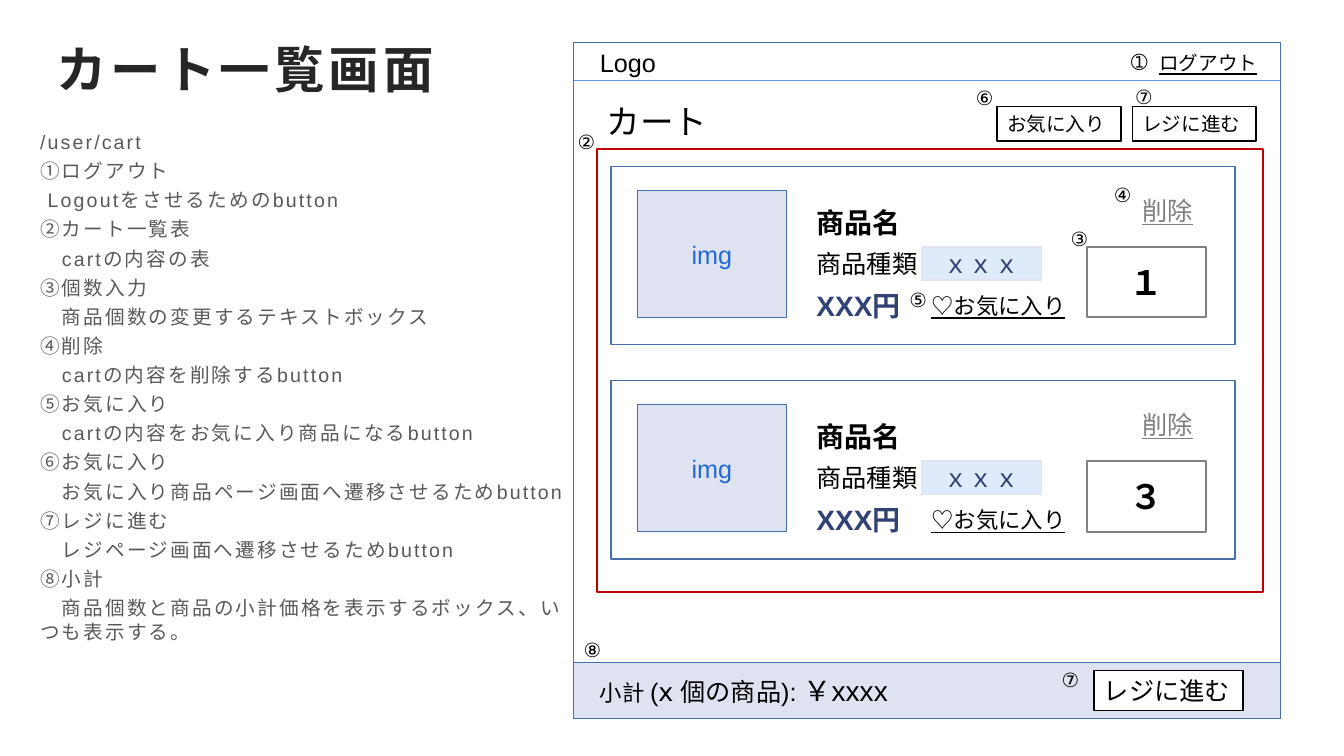
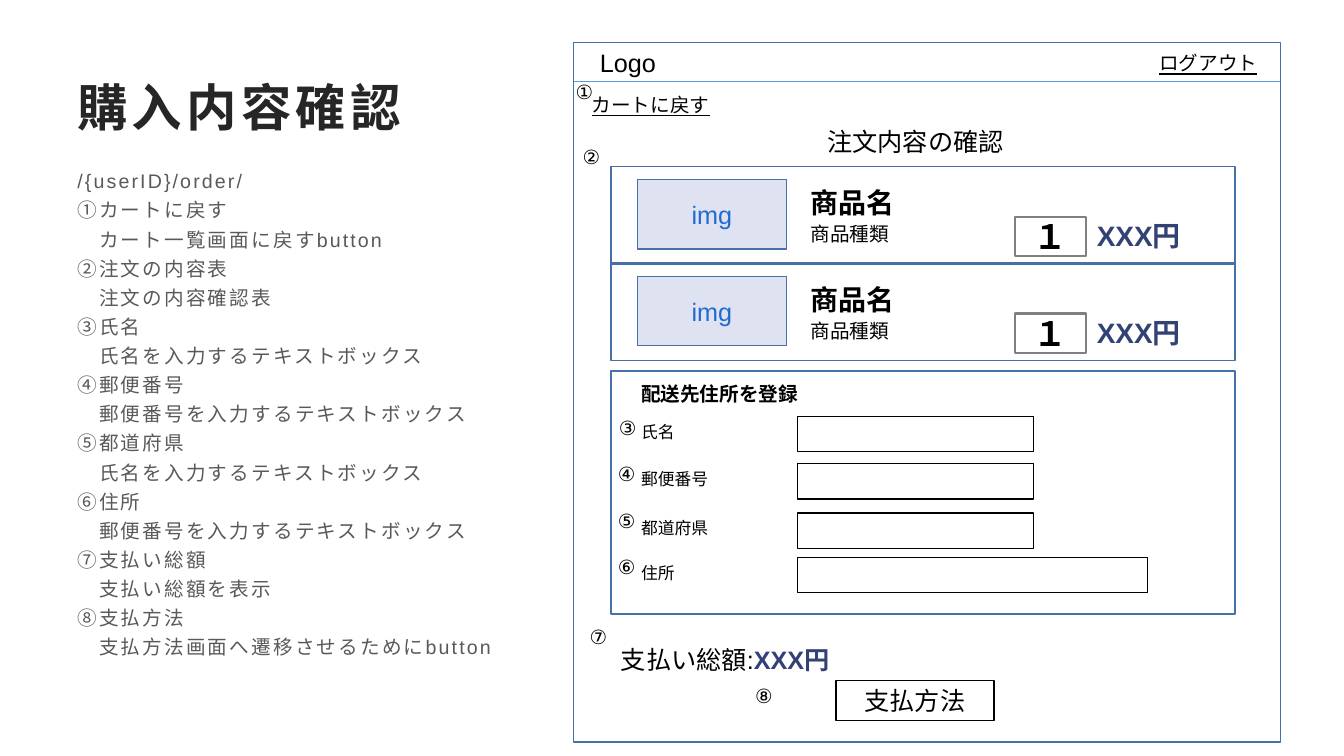
from lxml.etree import SubElement
from pptx import Presentation
from pptx.dml.color import RGBColor
from pptx.enum.shapes import MSO_CONNECTOR, MSO_SHAPE
from pptx.enum.text import MSO_ANCHOR, PP_ALIGN
from pptx.oxml.ns import qn
from pptx.util import Inches, Pt

COLORS = {
    "black": "000000", "white": "FFFFFF", "title": "262626", "body": "595959",
    "gray": "808080", "blue": "476FAA", "rule": "6096E6", "panel": "DFE3F1",
    "chip": "DFEAFA", "img": "2169D3", "price": "324274", "red": "C00000",
}
FONT = "Arial"
FRAME_X, FRAME_Y, FRAME_W = 5.69, 0.42, 7.01
CARD_X, CARD_W, CARD_TOP = 6.06, 6.19, 1.65


def rgb(name):
    return RGBColor.from_string(COLORS[name])


class Wireframe:
    def __init__(self, prs):
        self.prs = prs
        self.slide = None

    def new_slide(self, title, title_at, notes, notes_at, frame_h, rule_y):
        self.slide = self.prs.slides.add_slide(self.prs.slide_layouts[6])
        self.text(*title_at, 5, 0.77, title, 36, "title", bold=True, spc=3,
                  anchor=MSO_ANCHOR.MIDDLE)
        self.text(*notes_at, 5.2, notes, 14, "body", spc=1.5, after=4)
        self.box(FRAME_X, FRAME_Y, FRAME_W, frame_h)
        self.rule(FRAME_X, FRAME_X + FRAME_W, rule_y)
        self.text(5.85, 0.42, 0.85, 0.38, "Logo")
        self.text(11.4, 0.46, 1.3, 0.34, "ログアウト", 14, underline=True)

    def style(self, r, size, color, bold=False, underline=False, spc=0):
        r.font.name = FONT
        r.font.size = Pt(size)
        r.font.bold = bold
        r.font.underline = underline
        r.font.color.rgb = rgb(color)
        if spc:
            r._r.get_or_add_rPr().set("spc", str(int(spc * 100)))

    def fill_text(self, sp, text, size, color, align=PP_ALIGN.LEFT,
                  anchor=MSO_ANCHOR.TOP, after=0, **font):
        tf = sp.text_frame
        tf.word_wrap = True
        tf.vertical_anchor = anchor
        tf.text = text
        for p in tf.paragraphs:
            p.alignment = align
            p.space_after = Pt(after)
            for r in p.runs:
                self.style(r, size, color, **font)

    def text(self, x, y, w, h, text, size=18, color="black", **options):
        sp = self.slide.shapes.add_textbox(Inches(x), Inches(y), Inches(w), Inches(h))
        self.fill_text(sp, text, size, color, **options)
        return sp

    def rows(self, x, y, w, h, lines, spacing):
        sp = self.text(x, y, w, h, "\n".join(line[0] for line in lines))
        for p, (_, size, color, bold) in zip(sp.text_frame.paragraphs, lines):
            p.line_spacing = spacing
            self.style(p.runs[0], size, color, bold)

    def mixed(self, x, y, w, h, parts):
        sp = self.text(x, y, w, h, "")
        p = sp.text_frame.paragraphs[0]
        for text, size, color, bold in parts:
            r = p.add_run()
            r.text = text
            self.style(r, size, color, bold)

    def box(self, x, y, w, h, line="blue", fill=None, weight=1):
        sp = self.slide.shapes.add_shape(
            MSO_SHAPE.RECTANGLE, Inches(x), Inches(y), Inches(w), Inches(h))
        sp.shadow.inherit = False
        sp.line.color.rgb = rgb(line)
        sp.line.width = Pt(weight)
        if fill:
            sp.fill.solid()
            sp.fill.fore_color.rgb = rgb(fill)
        else:
            sp.fill.background()
        return sp

    def centered(self, sp, text, size=18, color="black", bold=False):
        self.fill_text(sp, text, size, color, align=PP_ALIGN.CENTER,
                       anchor=MSO_ANCHOR.MIDDLE, bold=bold)

    def image_box(self, y, h):
        self.centered(self.box(6.32, y, 1.48, h, fill="panel"), "img", color="img")

    def quantity(self, x, y, w, h, number):
        self.centered(self.box(x, y, w, h, "gray", weight=1.5), number, 24, bold=True)

    def button(self, x, y, w, h, text, size=18, align=PP_ALIGN.LEFT):
        sp = self.box(x, y, w, h, "black", "white")
        self.fill_text(sp, text, size, "black", align=align)

    def rule(self, x1, x2, y):
        ln = self.slide.shapes.add_connector(
            MSO_CONNECTOR.STRAIGHT, Inches(x1), Inches(y), Inches(x2), Inches(y))
        ln.line.color.rgb = rgb("rule")
        ln.line.width = Pt(0.5)
        SubElement(ln._element.spPr, qn("a:effectLst"))

    def markers(self, marks):
        for mark, x, y in marks:
            self.text(x, y, 0.45, 0.34, mark, 14)

    def cart_card(self, y, number):
        self.box(CARD_X, y, CARD_W, 1.77)
        self.image_box(y + 0.24, 1.26)
        self.rows(8, y + 0.24, 4.44, 1.26, [
            ("商品名", 20, "black", True),
            ("商品種類", 18, "black", False),
            ("XXX円", 20, "price", True)], 1.3)
        self.centered(self.box(9.14, y + 0.8, 1.19, 0.33, "panel", "chip"),
                      "ｘｘｘ", color="price")
        self.quantity(10.78, y + 0.8, 1.18, 0.7, number)
        self.text(11.23, y + 0.24, 0.72, 0.41, "削除", 18, "gray", underline=True)
        self.text(9.14, y + 1.2, 1.63, 0.49, "♡お気に入り", 16, underline=True)

    def order_card(self, y):
        self.box(CARD_X, y, CARD_W, 0.97)
        self.image_box(y + 0.13, 0.69)
        self.rows(7.94, y + 0.11, 4.44, 0.69, [
            ("商品名", 20, "black", True),
            ("商品種類", 14, "black", False)], 1.1)
        self.quantity(10.07, y + 0.5, 0.7, 0.39, "１")
        self.text(10.78, y + 0.47, 1.4, 0.44, "XXX円", 20, "price", bold=True)

    def field(self, y, label, w):
        self.text(6.26, y, 1.2, 0.3, label, 12)
        self.box(7.91, y, w, 0.35, "black")


CART_NOTES = """/user/cart
➀ログアウト
 Logoutをさせるためのbutton
②カート一覧表
　cartの内容の表
③個数入力
　商品個数の変更するテキストボックス
④削除
　cartの内容を削除するbutton
⑤お気に入り
　cartの内容をお気に入り商品になるbutton
⑥お気に入り
　お気に入り商品ページ画面へ遷移させるためbutton
⑦レジに進む
　レジページ画面へ遷移させるためbutton
⑧小計
　商品個数と商品の小計価格を表示するボックス、いつも表示する。"""

ORDER_NOTES = """/{userID}/order/
①カートに戻す
　カート一覧画面に戻すbutton
②注文の内容表
　注文の内容確認表
③氏名
　氏名を入力するテキストボックス
④郵便番号
　郵便番号を入力するテキストボックス
⑤都道府県
　氏名を入力するテキストボックス
⑥住所
　郵便番号を入力するテキストボックス
⑦支払い総額
　支払い総額を表示
⑧支払方法
　支払方法画面へ遷移させるためにbutton"""

prs = Presentation()
prs.slide_width = Inches(13.33)
prs.slide_height = Inches(7.5)
wf = Wireframe(prs)

wf.new_slide("カート一覧画面", (0.46, 0.29), CART_NOTES, (0.3, 1.24, 5.39), 6.71, 0.8)
wf.box(FRAME_X, 6.57, FRAME_W, 0.56, fill="panel")
wf.text(5.92, 0.95, 1.94, 0.53, "カート", 24)
for i, number in enumerate(["１", "３"]):
    wf.cart_card(CARD_TOP + i * 2.125, number)
wf.box(5.92, 1.48, 6.61, 4.39, "red", weight=1.5)
wf.mixed(5.85, 6.63, 4.5, 0.44, [
    ("小計", 16, "black", False),
    (" (ⅹ 個の商品): ", 18, "black", False),
    ("￥xxxx", 20, "black", False)])
wf.button(10.85, 6.65, 1.48, 0.4, "レジに進む")
wf.button(11.23, 1.06, 1.23, 0.34, "レジに進む", 14)
wf.button(9.89, 1.06, 1.23, 0.34, "お気に入り", 14)
wf.markers([
    ("➀", 11.12, 0.45), ("②", 5.63, 1.24), ("③", 10.52, 2.2),
    ("④", 10.95, 1.77), ("⑤", 8.92, 2.81), ("⑥", 9.58, 0.8),
    ("⑦", 11.16, 0.79), ("⑦", 10.43, 6.58), ("⑧", 5.69, 6.28)])

wf.new_slide("購入内容確認", (0.67, 0.67), ORDER_NOTES, (0.67, 1.63, 4.83), 6.94, 0.81)
wf.text(5.77, 0.87, 1.62, 0.34, "カートに戻す", 14, underline=True)
wf.text(7.39, 1.2, 3.38, 0.4, "注文内容の確認", align=PP_ALIGN.CENTER)
for i in range(2):
    wf.order_card(CARD_TOP + i * 0.96)
wf.box(CARD_X, 3.68, CARD_W, 2.41)
wf.text(6.26, 3.74, 5.9, 0.34, "配送先住所を登録", 14, bold=True)
for y, label, w in [(4.13, "氏名", 2.34), (4.6, "郵便番号", 2.34),
                    (5.09, "都道府県", 2.34), (5.53, "住所", 3.47)]:
    wf.field(y, label, w)
wf.mixed(6.06, 6.34, 4.8, 0.4, [
    ("支払い総額:", 18, "black", False), ("XXX円", 18, "price", True)])
wf.button(8.29, 6.75, 1.57, 0.4, "支払方法", align=PP_ALIGN.CENTER)
wf.markers([
    ("①", 5.61, 0.74), ("②", 5.68, 1.39), ("③", 6.04, 4.08),
    ("④", 6.03, 4.53), ("⑤", 6.03, 5), ("⑥", 6.03, 5.46),
    ("⑦", 5.75, 6.15), ("⑧", 7.39, 6.74)])

prs.save("out.pptx")
